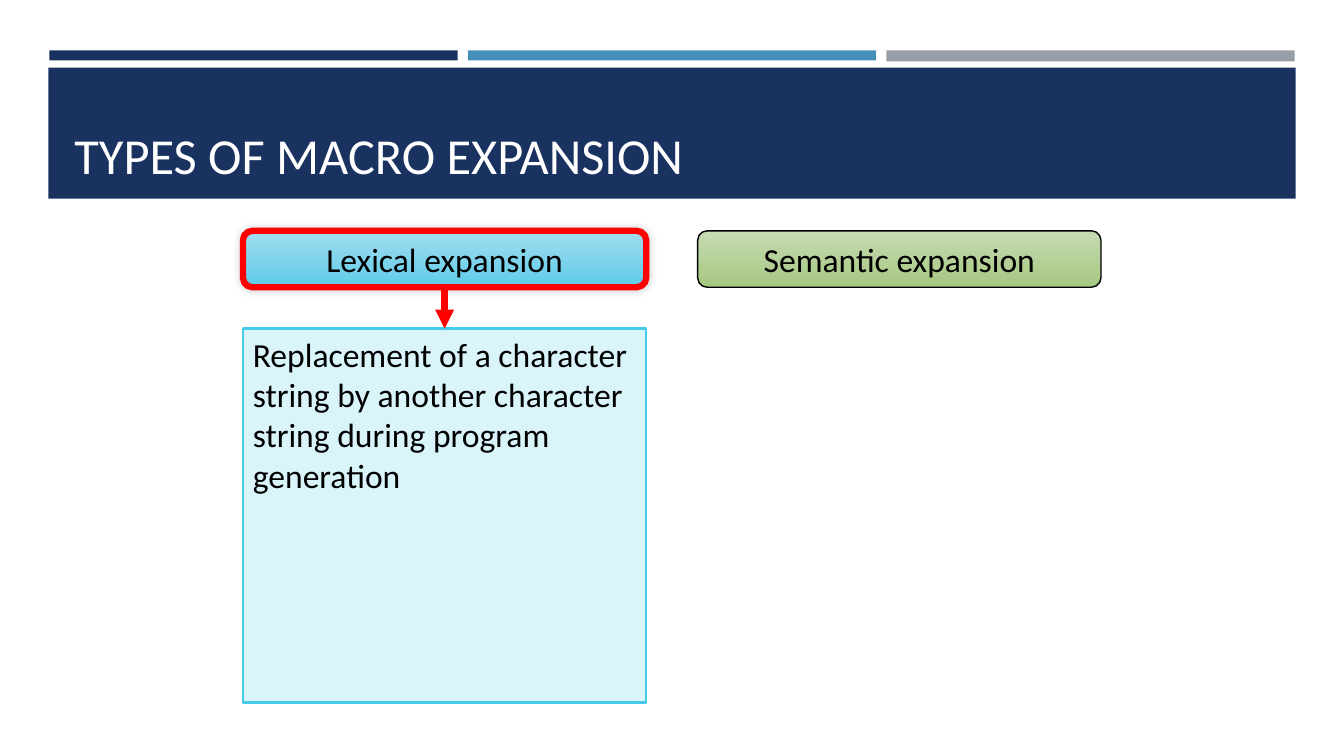
"""Builds a slide on the types of macro expansion."""
from lxml import etree
from pptx import Presentation
from pptx.dml.color import RGBColor
from pptx.enum.shapes import MSO_CONNECTOR, MSO_SHAPE
from pptx.enum.text import MSO_ANCHOR, PP_ALIGN
from pptx.oxml.ns import qn
from pptx.util import Inches, Pt

RECTANGLE = MSO_SHAPE.RECTANGLE
ROUNDED = MSO_SHAPE.ROUNDED_RECTANGLE
STRAIGHT = MSO_CONNECTOR.STRAIGHT
TOP, MIDDLE, BOTTOM = MSO_ANCHOR.TOP, MSO_ANCHOR.MIDDLE, MSO_ANCHOR.BOTTOM
LEFT, CENTER = PP_ALIGN.LEFT, PP_ALIGN.CENTER

NAVY = RGBColor(0x1A, 0x32, 0x60)
BLUE = RGBColor(0x45, 0x90, 0xB8)
GRAY = RGBColor(0x96, 0x9F, 0xA7)
WHITE = RGBColor(0xFF, 0xFF, 0xFF)
BLACK = RGBColor(0x00, 0x00, 0x00)
RED = RGBColor(0xFF, 0x00, 0x00)
CYAN_LIGHT = RGBColor(0xA2, 0xDD, 0xF0)
CYAN = RGBColor(0x5F, 0xCC, 0xE8)
GREEN_LIGHT = RGBColor(0xC6, 0xDB, 0xB2)
GREEN = RGBColor(0xA6, 0xC8, 0x81)
PALE_CYAN = RGBColor(0xDA, 0xF5, 0xFA)
CYAN_EDGE = RGBColor(0x45, 0xCB, 0xE8)

COLUMN_WIDTH = 4
COLUMN_LEFTS = (2.41, 6.92)
HEADING_TOP, HEADING_HEIGHT = 2.29, 0.56
DEFINITION_TOP = 3.26

prs = Presentation()
prs.slide_width = Inches(13.33)
prs.slide_height = Inches(7.5)
slide = prs.slides.add_slide(prs.slide_layouts[6])


def add_panel(preset, left, top, width, height):
    panel = slide.shapes.add_shape(
        preset, Inches(left), Inches(top), Inches(width), Inches(height))
    panel.shadow.inherit = False
    return panel


def write(holder, text, size, color, align, anchor):
    frame = holder.text_frame
    frame.text = text
    frame.word_wrap = True
    frame.vertical_anchor = anchor
    paragraph = frame.paragraphs[0]
    paragraph.alignment = align
    font = paragraph.runs[0].font
    font.name = "Calibri"
    font.size = Pt(size)
    font.color.rgb = color


bands = [(0.49, 0.5, 4.05, 0.1, NAVY), (4.64, 0.5, 4.05, 0.1, BLUE),
         (8.79, 0.5, 4.05, 0.11, GRAY), (0.48, 0.67, 12.37, 1.3, NAVY)]
for left, top, width, height, color in bands:
    band = add_panel(RECTANGLE, left, top, width, height)
    band.fill.solid()
    band.fill.fore_color.rgb = color
    band.line.fill.background()

title = slide.shapes.add_textbox(Inches(0.64), Inches(0.77), Inches(12.06), Inches(1.11))
write(title, "TYPES OF MACRO EXPANSION", 36, WHITE, LEFT, BOTTOM)

kinds = [("Lexical expansion", CYAN_LIGHT, CYAN, RED, 4.5),
         ("Semantic expansion", GREEN_LIGHT, GREEN, BLACK, 1)]
headings = []
for left, (name, light, dark, edge, edge_width) in zip(COLUMN_LEFTS, kinds):
    heading = add_panel(ROUNDED, left, HEADING_TOP, COLUMN_WIDTH, HEADING_HEIGHT)
    heading.fill.gradient()
    heading.fill.gradient_angle = 270
    for stop, color, position in zip(heading.fill.gradient_stops, (light, dark), (0, 1)):
        stop.color.rgb = color
        stop.position = position
    heading.line.color.rgb = edge
    heading.line.width = Pt(edge_width)
    write(heading, name, 24, BLACK, CENTER, MIDDLE)
    headings.append(heading)

effects = headings[0]._element.spPr.find(qn("a:effectLst"))
glow = etree.SubElement(effects, qn("a:outerShdw"), blurRad=str(Pt(6)), dist="0",
                        dir="13500000", rotWithShape="0")
glow_color = etree.SubElement(glow, qn("a:srgbClr"), val=str(BLACK))
etree.SubElement(glow_color, qn("a:alpha"), val="20000")

definition = add_panel(RECTANGLE, COLUMN_LEFTS[0], DEFINITION_TOP, COLUMN_WIDTH, 3.71)
definition.fill.solid()
definition.fill.fore_color.rgb = PALE_CYAN
definition.line.color.rgb = CYAN_EDGE
definition.line.width = Pt(1.75)
write(definition, "Replacement of a character string by another character string "
      "during program generation", 24, BLACK, LEFT, TOP)

arrow_x = Inches(COLUMN_LEFTS[0] + COLUMN_WIDTH / 2)
arrow = slide.shapes.add_connector(
    STRAIGHT, arrow_x, Inches(HEADING_TOP + HEADING_HEIGHT), arrow_x, Inches(DEFINITION_TOP))
arrow.line.color.rgb = RED
arrow.line.width = Pt(4.5)
etree.SubElement(arrow.line._get_or_add_ln(), qn("a:tailEnd"), type="triangle")
etree.SubElement(arrow._element.spPr, qn("a:effectLst"))

prs.save("out.pptx")
